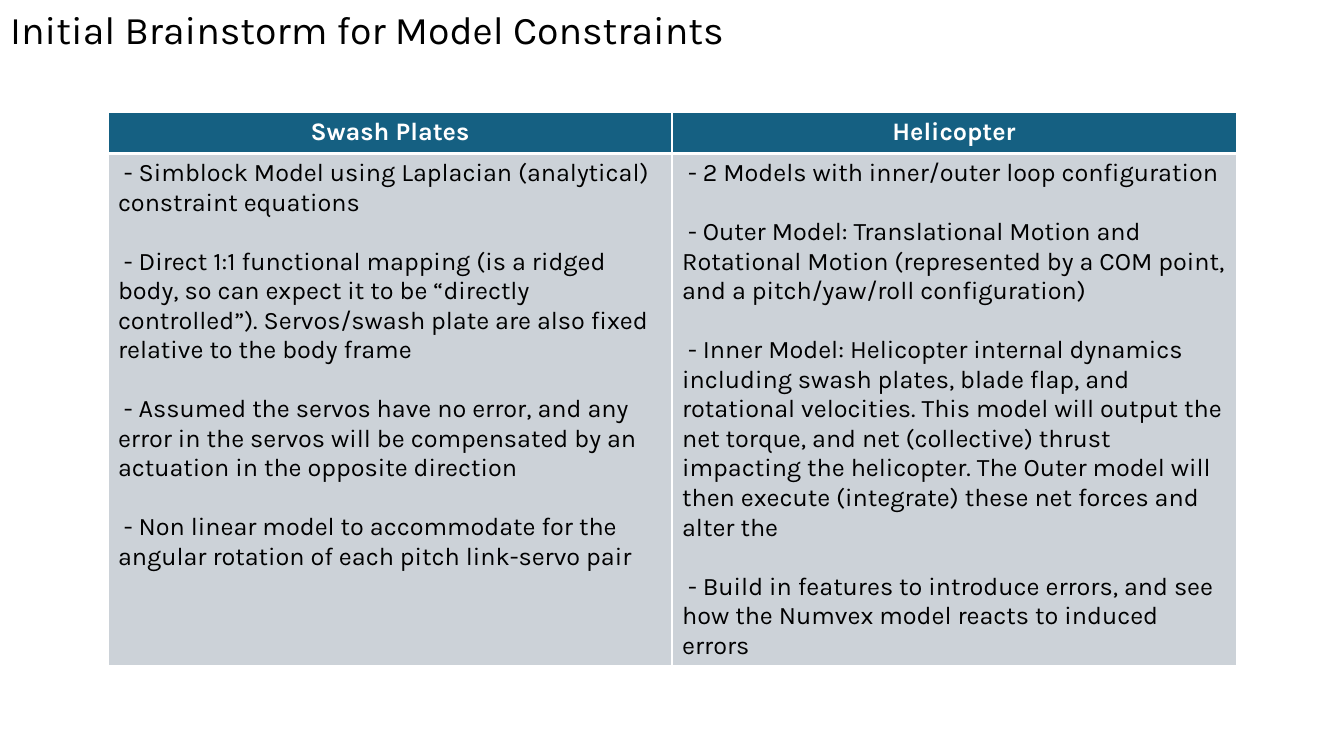
import pptx
import pptx.dml.color
import pptx.enum.text
import pptx.oxml.ns
import pptx.util
from lxml import etree

COLORS = {"text": "000000", "header": "156082", "body": "CCD2D8", "white": "FFFFFF"}

HEADINGS = ["Swash Plates", "Helicopter"]
CONSTRAINTS = [
    [
        "Simblock Model using Laplacian (analytical) constraint equations",
        "Direct 1:1 functional mapping (is a ridged body, so can expect it to be “directly "
        "controlled”). Servos/swash plate are also fixed relative to the body frame",
        "Assumed the servos have no error, and any error in the servos will be compensated "
        "by an actuation in the opposite direction",
        "Non linear model to accommodate for the angular rotation of each pitch link-servo pair",
    ],
    [
        "2 Models with inner/outer loop configuration",
        "Outer Model: Translational Motion and Rotational Motion (represented by a COM point, "
        "and a pitch/yaw/roll configuration)",
        "Inner Model: Helicopter internal dynamics including swash plates, blade flap, and "
        "rotational velocities. This model will output the net torque, and net (collective) "
        "thrust impacting the helicopter. The Outer model will then execute (integrate) these "
        "net forces and alter the",
        "Build in features to introduce errors, and see how the Numvex model reacts to "
        "induced errors",
    ],
]


class SlideBuilder:
    """Holds the style and the current slide; lengths are percentages of the slide's size."""

    font = "Karla"
    title_size = 28
    text_size = 18
    paragraph_gap = 21

    def __init__(self, presentation):
        self.presentation = presentation
        self.slide = presentation.slides.add_slide(presentation.slide_layouts[5])

    def across(self, percent):
        return round(self.presentation.slide_width * percent / 100)

    def down(self, percent):
        return round(self.presentation.slide_height * percent / 100)

    def format_paragraph(self, paragraph, size, color, bold=False):
        for run in paragraph.runs:
            run.font.name = self.font
            run.font.size = pptx.util.Pt(size)
            run.font.bold = bold
            run.font.color.rgb = pptx.dml.color.RGBColor.from_string(COLORS[color])

    def title(self, text, left, top, width, height):
        shape = self.slide.shapes.title
        shape.left, shape.top = self.across(left), self.down(top)
        shape.width, shape.height = self.across(width), self.down(height)
        frame = shape.text_frame
        frame.text = text
        frame.word_wrap = True
        frame.auto_size = pptx.enum.text.MSO_AUTO_SIZE.NONE
        frame.vertical_anchor = pptx.enum.text.MSO_ANCHOR.TOP
        paragraph = frame.paragraphs[0]
        paragraph.alignment = pptx.enum.text.PP_ALIGN.LEFT
        self.format_paragraph(paragraph, self.title_size, "text")

    def borders(self, cell, widths):
        properties = cell._tc.get_or_add_tcPr()
        for index, (side, width) in enumerate(widths.items()):
            line = etree.Element(pptx.oxml.ns.qn(f"a:ln{side}"), w=str(pptx.util.Pt(width)))
            fill = etree.SubElement(line, pptx.oxml.ns.qn("a:solidFill"))
            etree.SubElement(fill, pptx.oxml.ns.qn("a:srgbClr"), val=COLORS["white"])
            properties.insert(index, line)

    def cell(self, cell, paragraphs, fill, color, alignment, bold, widths):
        cell.fill.solid()
        cell.fill.fore_color.rgb = pptx.dml.color.RGBColor.from_string(COLORS[fill])
        self.borders(cell, widths)
        cell.text_frame.text = "\n".join(paragraphs)
        for index, paragraph in enumerate(cell.text_frame.paragraphs):
            paragraph.alignment = alignment
            paragraph.space_before = pptx.util.Pt(self.paragraph_gap if index else 0)
            self.format_paragraph(paragraph, self.text_size, color, bold)

    def table(self, headings, columns, left, top, width, row_heights):
        shape = self.slide.shapes.add_table(
            len(row_heights), len(headings), self.across(left), self.down(top),
            self.across(width), self.down(sum(row_heights)))
        table = shape.table
        for row, height in zip(table.rows, row_heights):
            row.height = self.down(height)
        align = pptx.enum.text.PP_ALIGN
        for index, (heading, items) in enumerate(zip(headings, columns)):
            self.cell(table.cell(0, index), [heading], "header", "white",
                      align.CENTER, True, {"L": 1, "R": 1, "T": 1, "B": 3})
            self.cell(table.cell(1, index), [f" - {item}" for item in items], "body", "text",
                      align.LEFT, False, {"L": 1, "R": 1, "T": 3, "B": 1})


def main():
    presentation = pptx.Presentation()
    presentation.slide_width = pptx.util.Inches(13.33)
    presentation.slide_height = pptx.util.Inches(7.5)
    builder = SlideBuilder(presentation)

    # Title
    builder.title("Initial Brainstorm for Model Constraints", 0, 0, 66.3, 7.6)

    # Constraints table
    builder.table(HEADINGS, CONSTRAINTS, 8.03, 14.9, 83.95, [5.4, 65.2])

    presentation.save("out.pptx")


if __name__ == "__main__":
    main()
